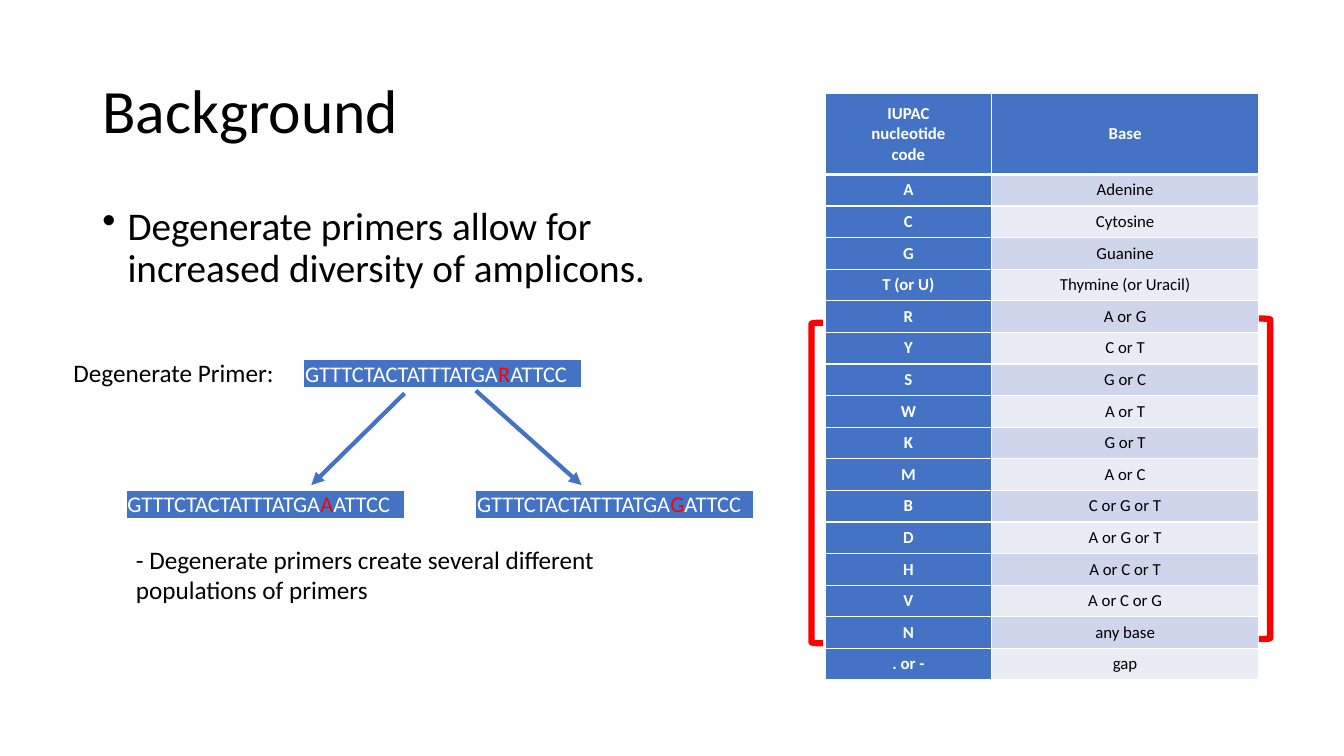
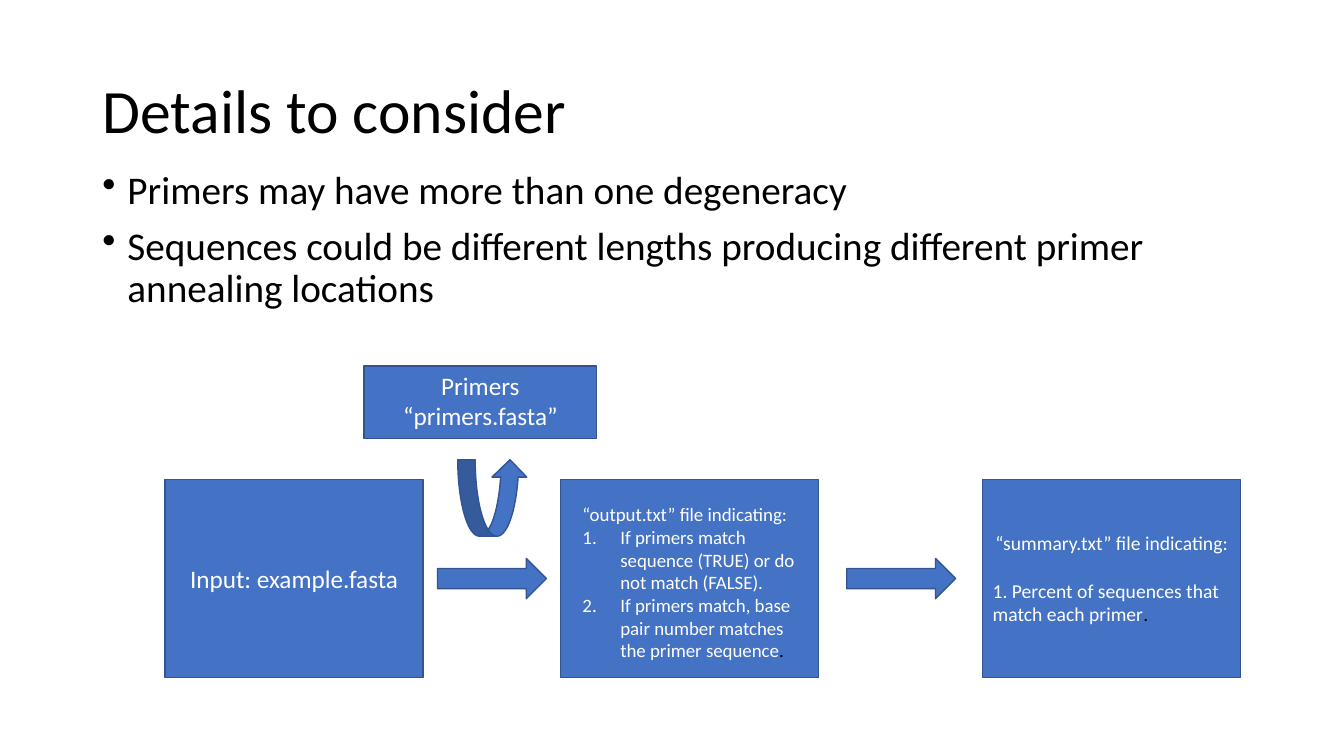
"""Two slides about degenerate primers."""
from lxml import etree
from pptx import Presentation
from pptx.dml.color import RGBColor
from pptx.enum.shapes import MSO_CONNECTOR, MSO_SHAPE
from pptx.enum.text import MSO_ANCHOR, PP_ALIGN
from pptx.oxml.ns import qn
from pptx.util import Pt

LEFT, CENTER = PP_ALIGN.LEFT, PP_ALIGN.CENTER
TOP, MIDDLE, BOTTOM = MSO_ANCHOR.TOP, MSO_ANCHOR.MIDDLE, MSO_ANCHOR.BOTTOM
RECTANGLE, BRACKET = MSO_SHAPE.RECTANGLE, MSO_SHAPE.RIGHT_BRACKET
RIGHT_ARROW, CURVED_ARROW = MSO_SHAPE.RIGHT_ARROW, MSO_SHAPE.CURVED_UP_ARROW
STRAIGHT = MSO_CONNECTOR.STRAIGHT

FONT = "Calibri"
BLACK, WHITE, RED = "000000", "FFFFFF", "FF0000"
BLUE, DARK_BLUE = "4472C4", "325491"
BANDS = ("CFD5EA", "E9EBF5")
TITLE_BOX = (66, 29, 828, 104)
TEXT_INSETS = (7.2, 3.6, 7.2, 3.6)

BASES = [
    ("A", "Adenine"), ("C", "Cytosine"), ("G", "Guanine"),
    ("T (or U)", "Thymine (or Uracil)"), ("R", "A or G"), ("Y", "C or T"),
    ("S", "G or C"), ("W", "A or T"), ("K", "G or T"), ("M", "A or C"),
    ("B", "C or G or T"), ("D", "A or G or T"), ("H", "A or C or T"),
    ("V", "A or C or G"), ("N", "any base"), (". or -", "gap"),
]


def rgb(color):
    """Turn a hex string into a colour."""
    return RGBColor.from_string(color)


def points(*lengths):
    """Turn numbers into lengths in points."""
    return [Pt(length) for length in lengths]


def add_run(paragraph, text, size, color=BLACK, bold=False):
    """Add one formatted run to a paragraph."""
    run = paragraph.add_run()
    run.text = text
    font = run.font
    font.name, font.size, font.bold = FONT, Pt(size), bold
    font.color.rgb = rgb(color)


def next_paragraph(frame, align=LEFT):
    """Return the first paragraph while it is empty, otherwise a new one."""
    paragraph = frame.paragraphs[0]
    if paragraph.runs:
        paragraph = frame.add_paragraph()
    paragraph.alignment = align
    return paragraph


def add_marker(paragraph, indent, tag, **attributes):
    """Give a paragraph a hanging indent and a bullet or number."""
    properties = paragraph._p.get_or_add_pPr()
    properties.set("marL", str(Pt(indent)))
    properties.set("indent", str(-Pt(indent)))
    etree.SubElement(properties, qn(tag), attributes)


def set_frame(frame, anchor=TOP, insets=TEXT_INSETS):
    """Set wrapping, anchor and insets of a text frame."""
    frame.word_wrap = True
    frame.vertical_anchor = anchor
    (frame.margin_left, frame.margin_top,
     frame.margin_right, frame.margin_bottom) = points(*insets)


def add_text_box(slide, box):
    """Add an empty wrapping text box and return its frame."""
    frame = slide.shapes.add_textbox(*points(*box)).text_frame
    set_frame(frame)
    return frame


def add_label(slide, box, text):
    """Add a plain text label."""
    add_run(next_paragraph(add_text_box(slide, box)), text, 18)


def add_bullets(slide, box, texts):
    """Add the bulleted body text."""
    frame = add_text_box(slide, box)
    for text in texts:
        paragraph = next_paragraph(frame)
        paragraph.line_spacing = 0.9
        paragraph.space_before = Pt(10)
        add_marker(paragraph, 18, "a:buChar", char="•")
        add_run(paragraph, text, 28)


def add_titled_slide(presentation, title):
    """Add a title-only slide in the shared title style."""
    slide = presentation.slides.add_slide(presentation.slide_layouts[5])
    shape = slide.shapes.title
    shape.left, shape.top, shape.width, shape.height = points(*TITLE_BOX)
    set_frame(shape.text_frame, MIDDLE)
    paragraph = next_paragraph(shape.text_frame)
    paragraph.line_spacing = 0.9
    add_run(paragraph, title, 44)
    return slide


def add_block(slide, kind, box):
    """Add a blue outlined shape."""
    shape = slide.shapes.add_shape(kind, *points(*box))
    shape.shadow.inherit = False
    shape.fill.solid()
    shape.fill.fore_color.rgb = rgb(BLUE)
    shape.line.color.rgb = rgb(DARK_BLUE)
    shape.line.width = Pt(1)
    return shape


def add_text_block(slide, box, insets=TEXT_INSETS):
    """Add a blue rectangle and return its text frame."""
    frame = add_block(slide, RECTANGLE, box).text_frame
    set_frame(frame, MIDDLE, insets)
    return frame


def add_bracket(slide, box, rotation):
    """Add a red bracket beside the table."""
    shape = slide.shapes.add_shape(BRACKET, *points(*box))
    shape.shadow.inherit = False
    shape.fill.background()
    shape.line.color.rgb = rgb(RED)
    shape.line.width = Pt(4.5)
    shape.rotation = rotation


def add_arrow(slide, start, end):
    """Add a straight arrow between two points."""
    connector = slide.shapes.add_connector(STRAIGHT, *points(*start, *end))
    connector.line.color.rgb = rgb(BLUE)
    connector.line.width = Pt(3)
    etree.SubElement(connector.line._get_or_add_ln(), qn("a:tailEnd"), type="triangle")
    etree.SubElement(connector._element.spPr, qn("a:effectLst"))


def add_plain_table(slide, box, rows, columns):
    """Add a table without banding."""
    table = slide.shapes.add_table(rows, columns, *points(*box)).table
    table.first_row = table.horz_banding = False
    return table


def set_cell(cell, color, anchor, insets):
    """Set fill, anchor and insets of a table cell."""
    cell.fill.solid()
    cell.fill.fore_color.rgb = rgb(color)
    cell.vertical_anchor = anchor
    (cell.margin_left, cell.margin_top,
     cell.margin_right, cell.margin_bottom) = points(*insets)


def add_borders(cell, top, bottom):
    """Give a cell white borders; top and bottom are widths."""
    properties = cell._tc.get_or_add_tcPr()
    for side, width in (("L", 1), ("R", 1), ("T", top), ("B", bottom)):
        line = etree.SubElement(properties, qn(f"a:ln{side}"), w=str(Pt(width)))
        fill = etree.SubElement(line, qn("a:solidFill"))
        etree.SubElement(fill, qn("a:srgbClr"), val=WHITE)


def add_code_table(slide, box):
    """Add the nucleotide code table with brackets around the degenerate codes."""
    left, top, width, height = box
    code_width, header_height = 118.4, 57.6
    row_height = (height - header_height) / len(BASES)
    rows = [("IUPAC\nnucleotide\ncode", "Base"), *BASES]
    table = add_plain_table(slide, box, len(rows), 2)
    table.first_row = True
    table.columns[0].width, table.columns[1].width = points(code_width, width - code_width)
    for row, texts in enumerate(rows):
        table.rows[row].height = Pt(row_height if row else header_height)
        for column, text in enumerate(texts):
            heading = row == 0 or column == 0
            cell = table.cell(row, column)
            add_borders(cell, 3 if row == 1 else 1, 1 if row else 3)
            set_cell(cell, BLUE if heading else BANDS[(row - 1) % 2], MIDDLE, (2, 2, 2, 2))
            for line in text.split("\n"):
                paragraph = next_paragraph(cell.text_frame, CENTER)
                add_run(paragraph, line, 12, WHITE if heading else BLACK, heading)
    add_bracket(slide, (left + width, top + 160.5, 8, 229), 0)
    add_bracket(slide, (left - 10, top + 163.5, 8, 229), 180)


def add_sequence(slide, box, base):
    """Add a primer sequence with one base in red."""
    table = add_plain_table(slide, box, 1, 1)
    cell = table.cell(0, 0)
    set_cell(cell, BLUE, BOTTOM, (1, 1, 1, 0))
    paragraph = next_paragraph(cell.text_frame)
    for text, color in (("GTTTCTACTATTTATGA", WHITE), (base, RED), ("ATTCC", WHITE)):
        add_run(paragraph, text, 16, color)


def add_primer_diagram(slide, box):
    """Show one degenerate primer splitting into two primers."""
    left, top, width, height = box
    size = (198.7, 20.2)
    add_label(slide, (left, top, 168.5, 28.8), "Degenerate Primer:")
    for x, y, base in ((171.5, 5, "R"), (44.6, 98, "A"), (294.5, 98, "G")):
        add_sequence(slide, (left + x, top + y, *size), base)
    for start, end in (((243.5, 29), (177, 94.5)), ((294.5, 27), (370, 94.5))):
        add_arrow(slide, (left + start[0], top + start[1]), (left + end[0], top + end[1]))
    add_label(slide, (left + 44.6, top + height - 51, width - 101.5, 51),
              "- Degenerate primers create several different populations of primers")


def add_output_step(slide, box):
    """Describe the output file as a numbered list."""
    frame = add_text_block(slide, box, (15.8, 9, 16.5, 3.6))
    add_run(next_paragraph(frame), "“output.txt” file indicating:", 13.5, WHITE)
    for text, stop in (
        ("If primers match sequence (TRUE) or do not match (FALSE).", ""),
        ("If primers match, base pair number matches the primer sequence", "."),
    ):
        paragraph = next_paragraph(frame)
        add_marker(paragraph, 27, "a:buAutoNum", type="arabicPeriod")
        add_run(paragraph, text, 13.5, WHITE)
        if stop:
            add_run(paragraph, stop, 13.5)


def add_summary_step(slide, box):
    """Describe the summary file."""
    frame = add_text_block(slide, box)
    add_run(next_paragraph(frame, CENTER), "“summary.txt” file indicating:", 14, WHITE)
    paragraph = next_paragraph(frame)
    paragraph.space_before = Pt(17)
    add_run(paragraph, "1. Percent of sequences that match each primer", 14, WHITE)
    add_run(paragraph, ".", 14)


def add_workflow(slide, box):
    """Show the steps from input to summary, with the primers above."""
    left, top, width, height = box
    step_width, step_height = 184.3, 141.1
    step_top = top + height - step_height
    input_box, output_box, summary_box = (
        (left + x, step_top, step_width, step_height)
        for x in (0, 282.3, width - step_width))
    frame = add_text_block(slide, input_box)
    add_run(next_paragraph(frame, CENTER), "Input: example.fasta", 18, WHITE)
    add_block(slide, CURVED_ARROW, (left + 209, top + 67, 49.7, 54.7))
    for x in (194.5, 486.8):
        add_block(slide, RIGHT_ARROW, (left + x, step_top + 56.2, 77.8, 28.8))
    frame = add_text_block(slide, (left + 142, top, 166.3, 51.8), (7.2, 2, 7.2, 5))
    for text in ("Primers", "“primers.fasta”"):
        add_run(next_paragraph(frame, CENTER), text, 18, WHITE)
    add_output_step(slide, output_box)
    add_summary_step(slide, summary_box)


def build_background(presentation):
    """Build the slide on degenerate primers."""
    slide = add_titled_slide(presentation, "Background")
    add_bullets(slide, (66, 144, 445, 73),
                ["Degenerate primers allow for increased diversity of amplicons."])
    add_code_table(slide, (589.7, 67, 309.6, 419))
    add_primer_diagram(slide, (45.4, 252, 493.2, 184))


def build_details(presentation):
    """Build the slide on details and workflow."""
    slide = add_titled_slide(presentation, "Details to consider")
    add_bullets(slide, (66, 118, 828, 127), [
        "Primers may have more than one degeneracy",
        "Sequences could be different lengths producing different primer annealing locations",
    ])
    add_workflow(slide, (118, 261.4, 768.3, 222.4))


def main():
    """Build and save the presentation."""
    presentation = Presentation()
    presentation.slide_width, presentation.slide_height = points(960, 540)
    build_background(presentation)
    build_details(presentation)
    presentation.save("out.pptx")


main()
